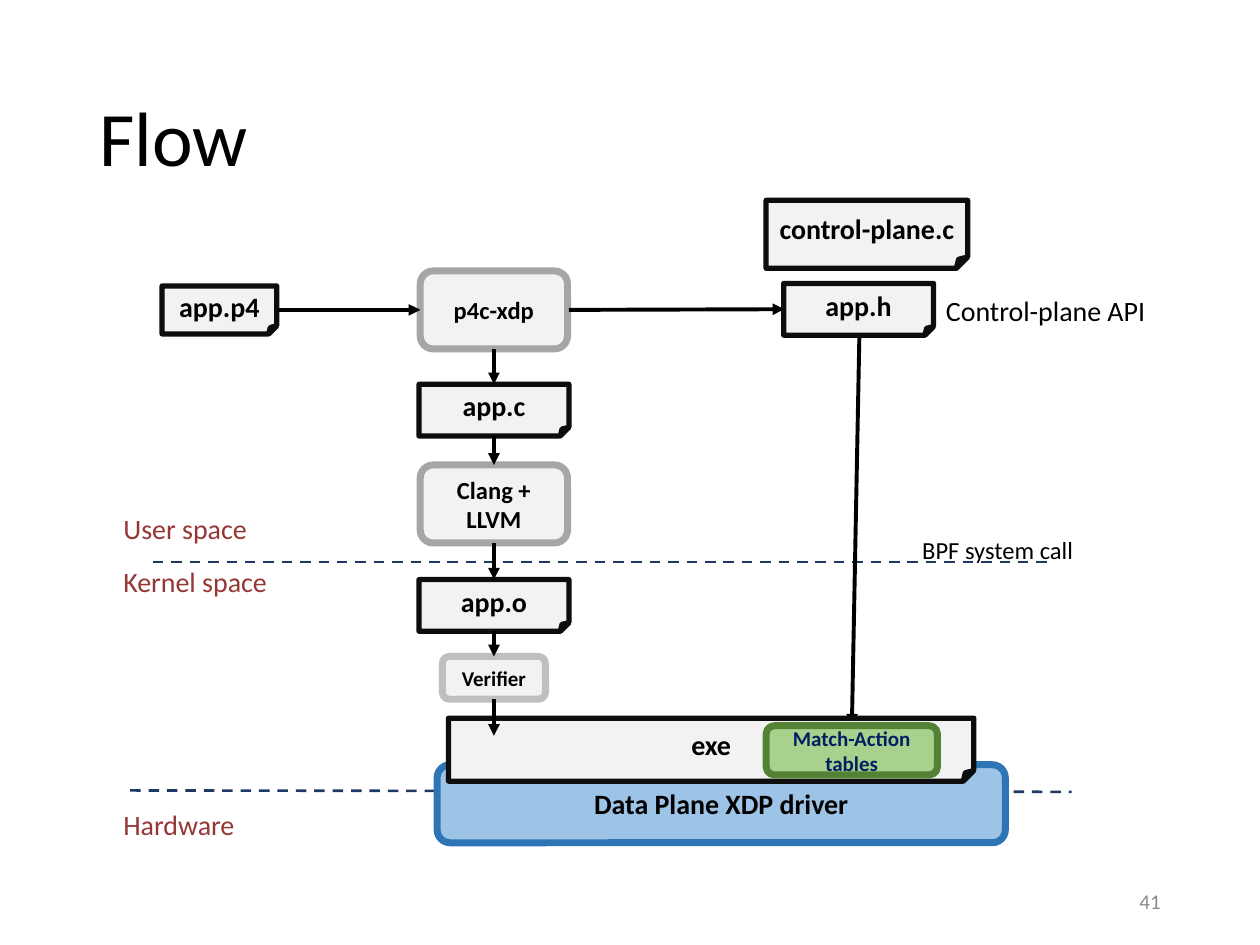
from itertools import pairwise
from lxml.etree import SubElement
from pptx import Presentation
from pptx.dml.color import RGBColor
from pptx.enum.dml import MSO_LINE
from pptx.enum.shapes import MSO_CONNECTOR, MSO_SHAPE as Shape
from pptx.enum.text import MSO_ANCHOR as Anchor, PP_ALIGN as Align
from pptx.oxml.ns import qn
from pptx.util import Pt

FILE = dict(kind=Shape.FOLDED_CORNER, fill="F2F2F2", edge="0D0D0D", width=3, size=16)
TOOL = dict(kind=Shape.ROUNDED_RECTANGLE, fill="F2F2F2", edge="A6A6A6", width=4, size=14)
CHECK = TOOL | dict(edge="BFBFBF", size=12)
DRIVER = TOOL | dict(fill="9DC3E6", edge="2E75B6", size=16)
TABLES = TOOL | dict(fill="A9D18E", edge="548235", size=12, color="002060")
RED = "953735"


def rgb(code):
    return RGBColor.from_string(code)


def write(frame, text, size, color="000000", bold=False, align=Align.LEFT):
    frame.text = text
    for para in frame.paragraphs:
        para.alignment = align
        style = dict(name="Calibri", size=Pt(size), bold=bold)
        for key, value in style.items():
            setattr(para.font, key, value)
        para.font.color.rgb = rgb(color)


def node(slide, text, box, kind, fill, edge, width, size, color="000000"):
    """Add a labelled box of the flow."""
    shape = slide.shapes.add_shape(kind, *map(Pt, box))
    shape.shadow.inherit = False
    shape.fill.solid()
    shape.fill.fore_color.rgb = rgb(fill)
    shape.line.color.rgb = rgb(edge)
    shape.line.width = Pt(width)
    shape.text_frame.vertical_anchor = Anchor.MIDDLE
    write(shape.text_frame, text, size, color, True, Align.CENTER)


def label(slide, text, box, size, color="000000", wrap=False,
          align=Align.LEFT, anchor=Anchor.TOP):
    frame = slide.shapes.add_textbox(*map(Pt, box)).text_frame
    frame.word_wrap = wrap
    frame.vertical_anchor = anchor
    write(frame, text, size, color, align=align)


def link(slide, start, end, color="000000", width=2.25, dash=False):
    """Draw an arrow, or a plain dashed line."""
    line = slide.shapes.add_connector(MSO_CONNECTOR.STRAIGHT, *map(Pt, start + end))
    line.line.color.rgb = rgb(color)
    line.line.width = Pt(width)
    if dash:
        line.line.dash_style = MSO_LINE.DASH
    else:
        SubElement(line.line._get_or_add_ln(), qn("a:tailEnd"), type="triangle")
    SubElement(line._element.spPr, qn("a:effectLst"))


def add_title(slide, box):
    title = slide.shapes.title
    place = dict(zip(("left", "top", "width", "height"), map(Pt, box)))
    for key, value in place.items():
        setattr(title, key, value)
    title.text_frame.vertical_anchor = Anchor.MIDDLE
    write(title.text_frame, "Flow", 44)
    title.text_frame.paragraphs[0].line_spacing = 0.9


def add_zones(slide, box):
    """Mark user space, kernel space and hardware."""
    x, y, w, h = box
    for left, top, right, drop in ((24, 32.5, w - 8, 0), (11, 163, w + 6, 0.8)):
        link(slide, (x + left, y + top), (x + right, y + top + drop),
             "203864", 1.5, True)
    for text, top in (("User space", 0), ("Kernel space", 30.3), ("Hardware", h - 26.6)):
        label(slide, text, (x, y + top, 109, 26.6), 16, RED)
    label(slide, "BPF system call", (x + 456.5, y + 13.7, 101.5, 24.5), 14)


def add_control(slide, box):
    """Place the control-plane files and the call down to the tables."""
    x, y, w, h = box
    link(slide, (x + 53.3, y + 77), (x + 49, y + h))
    node(slide, "app.h", (x + 10, y + 47.5, 85.7, 29.5), **FILE)
    node(slide, "control-plane.c", (x, y, w, 38.9), **FILE)
    label(slide, "Control-plane API", (x + 95.7, y + 49.7, 129.6, 26.6), 16)


def add_driver(slide, box):
    x, y, w, h = box
    node(slide, "Data Plane XDP driver", (x, y + h - 44.6, w, 44.6), **DRIVER)
    node(slide, "exe", (x + 6.5, y, 300.2, 36), **FILE)
    node(slide, "Match-Action\ntables", (x + 188, y + 4.3, 97.9, 28.1), **TABLES)


def add_build(slide, box):
    """Stack the build steps from compiler to verifier, joined by arrows."""
    x, y, w, h = box
    mid = x + w / 2
    steps = (("p4c-xdp", 0, 84.2, 44.6, TOOL), ("app.c", 64.8, w, 29.5, FILE),
             ("Clang + LLVM", 110.9, 84.2, 44.6, TOOL),
             ("app.o", 176.4, w, 29.5, FILE), ("Verifier", 220.3, 59, 24.5, CHECK))
    for text, top, wide, high, style in steps:
        node(slide, text, (mid - wide / 2, y + top, wide, high), **style)
    ends = [(top, top + high) for _, top, _, high, _ in steps] + [(h, h)]
    for (_, low), (top, _) in pairwise(ends):
        link(slide, (mid, y + low), (mid, y + top))
    node(slide, "app.p4", (x - 146.8, y + 8.6, 65.5, 27.4), **FILE)
    row = y + 22.3
    link(slide, (x - 81.3, row), (x + 0.8, row))
    link(slide, (x + w, row), (x + 208.8, row - 0.4))


def main():
    deck = Presentation()
    deck.slide_width, deck.slide_height = Pt(720), Pt(540)
    slide = deck.slides.add_slide(deck.slide_layouts[5])
    add_title(slide, (49.7, 28.8, 620.6, 104.4))
    add_zones(slide, (63.4, 288.7, 543, 195.8))
    add_control(slide, (437.8, 114.5, 115.2, 300.2))
    add_driver(slide, (249.8, 410.4, 324.7, 71.2))
    add_build(slide, (239.4, 154.8, 85.7, 265.7))
    label(slide, "41", (508.3, 500.4, 162, 28.8), 12, "8C8C8C", True,
          Align.RIGHT, Anchor.MIDDLE)
    deck.save("out.pptx")


if __name__ == "__main__":
    main()
